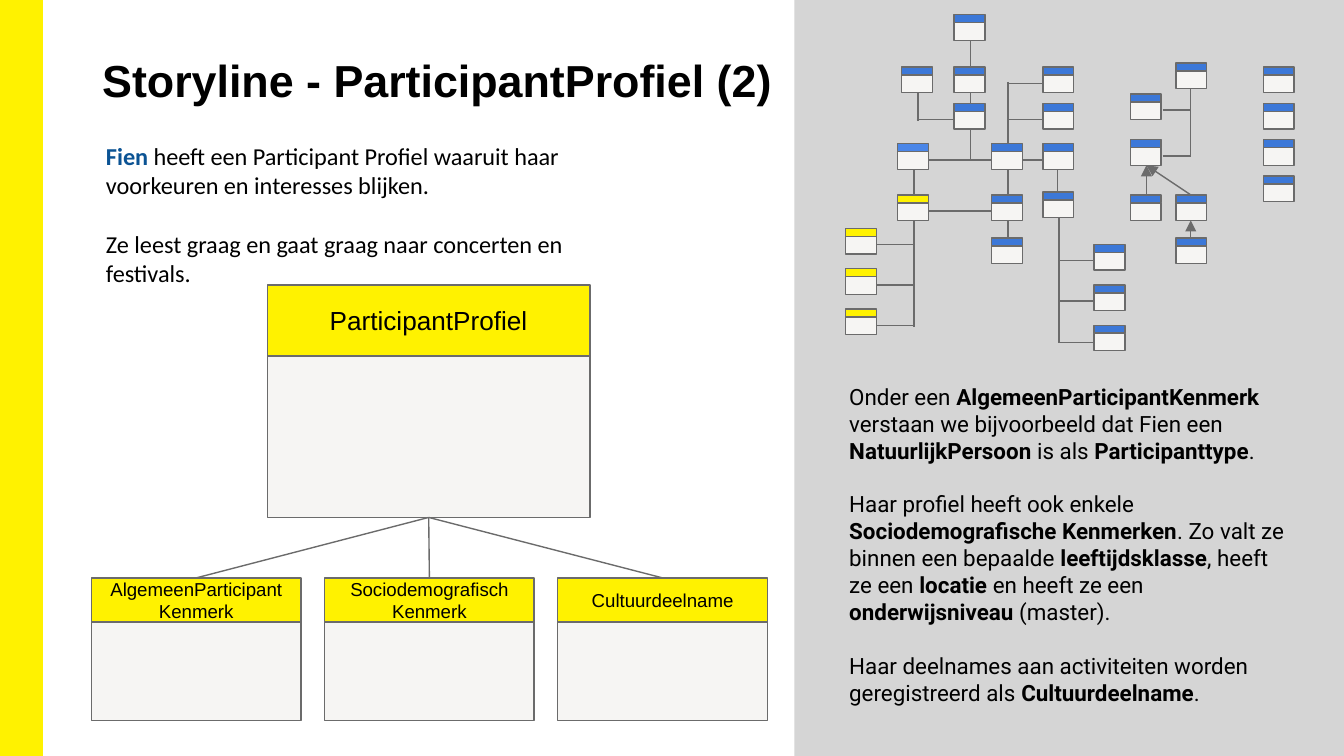
from dataclasses import dataclass

from lxml import etree
from pptx import Presentation
from pptx import util as u
from pptx.dml.color import RGBColor
from pptx.enum import shapes, text
from pptx.oxml import ns

YELLOW = RGBColor(0xFF, 0xF2, 0x00)
GREY = RGBColor(0xD5, 0xD5, 0xD5)
BODY = RGBColor(0xF6, 0xF5, 0xF3)
OUTLINE = RGBColor(0x6B, 0x6B, 0x6B)
BLUE = RGBColor(0x3C, 0x78, 0xD8)
LIGHT_BLUE = RGBColor(0x4A, 0x86, 0xE8)
NAME_BLUE = RGBColor(0x0B, 0x53, 0x94)
BLACK = RGBColor(0, 0, 0)

SLIDE_WIDTH = 10
SLIDE_HEIGHT = SLIDE_WIDTH * 9 / 16


@dataclass
class Box:
    left: float
    top: float
    width: float
    height: float

    def lengths(self):
        return [u.Inches(n) for n in (self.left, self.top, self.width, self.height)]


def add_rectangle(parent, box, fill, line=None, weight=0.75):
    shape = parent.add_shape(shapes.MSO_SHAPE.RECTANGLE, *box.lengths())
    shape.shadow.inherit = False
    shape.fill.solid()
    shape.fill.fore_color.rgb = fill
    if line is None:
        shape.line.fill.background()
    else:
        shape.line.color.rgb = line
        shape.line.width = u.Pt(weight)
    return shape


def add_line(parent, start, end, arrow=False):
    points = [u.Inches(n) for n in (*start, *end)]
    connector = parent.add_connector(shapes.MSO_CONNECTOR.STRAIGHT, *points)
    connector.line.color.rgb = OUTLINE
    connector.line.width = u.Pt(0.75)
    if arrow:
        outline = connector.line._get_or_add_ln()
        etree.SubElement(outline, ns.qn("a:tailEnd"), type="triangle")
    etree.SubElement(connector._element.spPr, ns.qn("a:effectLst"))


def write(shape, paragraphs, font, size, gap=0, align=text.PP_ALIGN.LEFT,
          anchor=text.MSO_ANCHOR.TOP, insets=(0.1, 0.1)):
    """Fill a shape with paragraphs, each a list of (words, bold, colour) runs."""
    frame = shape.text_frame
    frame.word_wrap = True
    frame.vertical_anchor = anchor
    frame.margin_left = frame.margin_right = u.Inches(insets[0])
    frame.margin_top = frame.margin_bottom = u.Inches(insets[1])
    for index, runs in enumerate(paragraphs):
        paragraph = frame.add_paragraph() if index else frame.paragraphs[0]
        paragraph.alignment = align
        if index:
            paragraph.space_before = u.Pt(gap)
        for words, bold, colour in runs:
            run = paragraph.add_run()
            run.text = words
            run.font.name = font
            run.font.size = u.Pt(size)
            run.font.bold = bold
            run.font.color.rgb = colour


def add_text(slide, box, paragraphs, font, size, **options):
    write(slide.shapes.add_textbox(*box.lengths()), paragraphs, font, size, **options)


def add_class(parent, box, header_height, fill, lines=(), size=10):
    """Draw a class box: a body with a coloured header above it."""
    body = Box(box.left, box.top + header_height, box.width, box.height - header_height)
    add_rectangle(parent, body, BODY, OUTLINE)
    header = add_rectangle(
        parent, Box(box.left, box.top, box.width, header_height), fill, OUTLINE)
    if lines:
        write(header, [[(line, False, BLACK)] for line in lines], "Arial", size,
              align=text.PP_ALIGN.CENTER, anchor=text.MSO_ANCHOR.MIDDLE)


def add_intro(slide, box):
    add_text(slide, Box(box.left, box.top, 5.48, 0.6),
             [[("Storyline - ParticipantProfiel (2)", True, BLACK)]],
             "Arial", 24, insets=(0.07, 0.04))
    story = [
        [("Fien ", True, NAME_BLUE),
         ("heeft een Participant Profiel waaruit haar voorkeuren en interesses blijken.",
          False, BLACK)],
        [("Ze leest graag en gaat graag naar concerten en festivals.", False, BLACK)],
    ]
    add_text(slide, Box(box.left, box.top + 0.6, box.width, 1.3),
             story, "Calibri", 13, gap=15.8)


def add_profile_tree(slide, box):
    parent = Box(box.left + 1.31, box.top, 2.4, 1.73)
    add_class(slide.shapes, parent, 0.53, YELLOW, ["ParticipantProfiel"], 14)
    children = [["AlgemeenParticipantKenmerk"], ["Sociodemografisch", "Kenmerk"],
                ["Cultuurdeelname"]]
    width, top = 1.56, box.top + 2.18
    step = (box.width - width) / (len(children) - 1)
    for index, lines in enumerate(children):
        left = box.left + index * step
        add_class(slide.shapes, Box(left, top, width, 1.06), 0.33, YELLOW, lines)
        add_line(slide.shapes,
                 (parent.left + parent.width / 2, parent.top + parent.height),
                 (left + width / 2, top))


def add_model_map(slide, box):
    """Draw the small class model; its coordinates start at the box corner."""
    columns = [
        (0.29, YELLOW, [1.70, 2.00, 2.30]),
        (0.68, LIGHT_BLUE, [1.07]),
        (0.68, YELLOW, [1.45]),
        (0.71, BLUE, [0.50]),
        (1.10, BLUE, [0.11, 0.50, 0.77]),
        (1.38, BLUE, [1.07, 1.45, 1.77]),
        (1.76, BLUE, [0.50, 0.77, 1.07, 1.43]),
        (2.14, BLUE, [1.82, 2.12, 2.42]),
        (2.41, BLUE, [0.70, 1.04, 1.45]),
        (2.75, BLUE, [0.47, 1.45, 1.77]),
        (3.40, BLUE, [0.50, 0.77, 1.04, 1.31]),
    ]
    vertical = [
        (0.80, 1.26, 1.45), (0.80, 1.64, 2.43), (0.83, 0.69, 0.90),
        (1.22, 0.30, 0.50), (1.22, 0.69, 0.77), (1.22, 0.96, 1.19),
        (1.50, 0.61, 1.07), (1.50, 1.26, 1.45), (1.50, 1.64, 1.77),
        (1.87, 1.26, 1.43), (1.88, 1.62, 2.55), (2.86, 0.66, 1.17),
    ]
    horizontal = [
        (0.62, 1.50, 1.76), (0.89, 1.50, 1.76), (0.89, 0.82, 1.10),
        (1.19, 0.91, 1.38), (1.19, 1.61, 1.76), (1.57, 0.91, 1.38),
        (1.82, 0.52, 0.80), (2.12, 0.52, 0.80), (2.42, 0.52, 0.80),
        (1.94, 1.88, 2.14), (2.24, 1.88, 2.14), (2.55, 1.88, 2.14),
        (0.82, 2.65, 2.86), (1.16, 2.65, 2.86),
    ]
    arrows = [((2.53, 1.45), (2.53, 1.23)), ((2.86, 1.45), (2.53, 1.23)),
              ((2.86, 1.77), (2.86, 1.64))]

    def place(x, y):
        return box.left + x, box.top + y

    for x, fill, tops in columns:
        for y in tops:
            group = slide.shapes.add_group_shape()
            add_class(group.shapes, Box(*place(x, y), 0.23, 0.19), 0.06, fill)
    for x, top, bottom in vertical:
        add_line(slide.shapes, place(x, top), place(x, bottom))
    for y, left, right in horizontal:
        add_line(slide.shapes, place(left, y), place(right, y))
    for start, end in arrows:
        add_line(slide.shapes, place(*start), place(*end), arrow=True)


def add_explanation(slide, box):
    # Regular and bold pieces alternate, starting with regular.
    paragraphs = [
        ["Onder een ", "AlgemeenParticipantKenmerk ",
         "verstaan we bijvoorbeeld dat Fien een ", "NatuurlijkPersoon ",
         "is als ", "Participanttype", "."],
        ["Haar profiel heeft ook enkele ", "Sociodemografische Kenmerken",
         ". Zo valt ze binnen een bepaalde ", "leeftijdsklasse", ", heeft ze een ",
         "locatie", " en heeft ze een ", "onderwijsniveau", " (master)."],
        ["Haar deelnames aan activiteiten worden geregistreerd als ",
         "Cultuurdeelname", "."],
    ]
    runs = [[(words, index % 2 == 1, BLACK) for index, words in enumerate(pieces)]
            for pieces in paragraphs]
    add_text(slide, box, runs, "Roboto", 12, gap=14.4)


def main():
    presentation = Presentation()
    presentation.slide_width = u.Inches(SLIDE_WIDTH)
    presentation.slide_height = u.Inches(SLIDE_HEIGHT)
    slide = presentation.slides.add_slide(presentation.slide_layouts[6])
    add_rectangle(slide.shapes, Box(0, 0, 0.31, SLIDE_HEIGHT), YELLOW, YELLOW, 1)
    add_rectangle(slide.shapes, Box(5.91, 0, 4.09, SLIDE_HEIGHT), GREY)
    add_intro(slide, Box(0.69, 0.35, 4.19, 1.9))
    add_profile_tree(slide, Box(0.68, 2.12, 5.03, 3.24))
    add_model_map(slide, Box(6, 0, 3.63, 2.61))
    add_explanation(slide, Box(6.22, 2.75, 3.48, 2.83))
    presentation.save("out.pptx")


if __name__ == "__main__":
    main()
